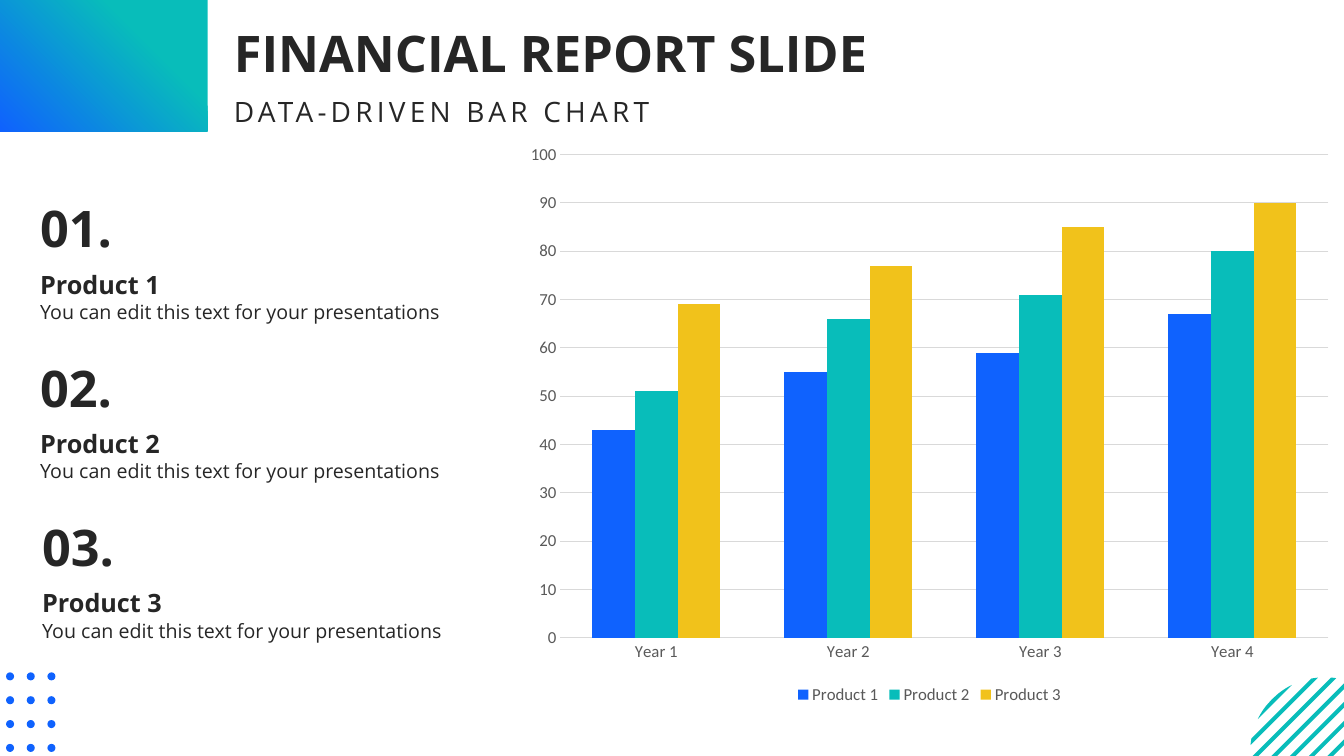
from math import sqrt

from pptx import Presentation
from pptx.chart.data import CategoryChartData
from pptx.dml.color import RGBColor
from pptx.enum import chart as charts, shapes, text
from pptx.util import Inches, Pt

COLORS = {"blue": "0F62FE", "teal": "08BDBA", "yellow": "F1C21B",
          "ink": "262626", "label": "595959", "grid": "D9D9D9"}
FONT = "Open Sans"
CHART_FONT = "Calibri"

TITLE = "FINANCIAL REPORT SLIDE"
SUBTITLE = "DATA-DRIVEN BAR CHART"
DESCRIPTION = "You can edit this text for your presentations"
PRODUCTS = [  # number, name, left edge
    ("01.", "Product 1", 0.3),
    ("02.", "Product 2", 0.3),
    ("03.", "Product 3", 0.32),
]
PRODUCT_TOP, PRODUCT_PITCH = 1.91, 1.58

YEARS = ["Year 1", "Year 2", "Year 3", "Year 4"]
SERIES = [
    ("Product 1", (43, 55, 59, 67), "blue"),
    ("Product 2", (51, 66, 71, 80), "teal"),
    ("Product 3", (69, 77, 85, 90), "yellow"),
]

DOT_COLUMNS, DOT_ROWS, DOT_SIZE = 3, 4, 0.08
DOTS_LEFT, DOTS_TOP, DOTS_WIDTH, DOTS_HEIGHT = 0.06, 6.67, 0.41, 0.71

DISC_X, DISC_Y, DISC_RADIUS = 13.14, 7.46, 0.74
STRIPE_COUNT, STRIPE_WIDTH = 10, 0.04
FIRST_STRIPE, LAST_STRIPE = -0.74, 0.44  # offsets from the disc centre
ARC_STEPS = 8


def rgb(name):
    return RGBColor.from_string(COLORS[name])


def fill_plain(shape, color):
    shape.shadow.inherit = False
    shape.fill.solid()
    shape.fill.fore_color.rgb = rgb(color)
    shape.line.fill.background()


def write(shape, words, size, bold=False, line_spacing=None, tracking=None):
    frame = shape.text_frame
    frame.word_wrap = True
    frame.auto_size = text.MSO_AUTO_SIZE.NONE
    frame.vertical_anchor = text.MSO_ANCHOR.TOP
    paragraph = frame.paragraphs[0]
    paragraph.alignment = text.PP_ALIGN.LEFT
    if line_spacing:
        paragraph.line_spacing = line_spacing
    run = paragraph.add_run()
    run.text = words
    run.font.name = FONT
    run.font.size = Pt(size)
    run.font.bold = bold
    run.font.color.rgb = rgb("ink")
    if tracking:
        run.font._element.set("spc", str(tracking * 100))


def add_text(slide, left, top, width, height, words, size, **style):
    box = slide.shapes.add_textbox(*map(Inches, (left, top, width, height)))
    write(box, words, size, **style)


def add_header(slide):
    corner = slide.shapes.add_shape(shapes.MSO_SHAPE.RECTANGLE, 0, Inches(-0.01),
                                    Inches(2.06), Inches(1.31))
    fill_plain(corner, "teal")
    corner.fill.gradient()
    corner.fill.gradient_angle = 225
    stops = zip(corner.fill.gradient_stops, (0.3, 1), ("teal", "blue"))
    for stop, position, color in stops:
        stop.position = position
        stop.color.rgb = rgb(color)

    title = slide.shapes.title
    title.left, title.top = Inches(2.22), Inches(0.17)
    title.width, title.height = Inches(9.74), Inches(0.71)
    write(title, TITLE, 36, bold=True)
    add_text(slide, 2.22, 0.89, 5.32, 0.44, SUBTITLE, 20, tracking=3)


def add_products(slide):
    for row, (number, name, left) in enumerate(PRODUCTS):
        top = PRODUCT_TOP + row * PRODUCT_PITCH
        add_text(slide, left, top, 1.01, 0.71, number, 36, bold=True)
        add_text(slide, left, top + 0.56, 4.56, 0.51, name, 18,
                 bold=True, line_spacing=1.5)
        add_text(slide, left, top + 0.9, 4.56, 0.42, DESCRIPTION, 14,
                 line_spacing=1.5)


def format_chart_font(font):
    font.name = CHART_FONT
    font.size = Pt(12)
    font.color.rgb = rgb("label")


def add_sales_chart(slide):
    data = CategoryChartData()
    data.categories = YEARS
    for name, values, _ in SERIES:
        data.add_series(name, values)
    chart = slide.shapes.add_chart(
        charts.XL_CHART_TYPE.COLUMN_CLUSTERED, Inches(5.1), Inches(1.32),
        Inches(8.24), Inches(5.71), data).chart
    chart.has_title = False
    format_chart_font(chart.font)

    plot = chart.plots[0]
    plot.gap_width, plot.overlap = 150, 0
    plot.vary_by_categories = False
    for series, (_, _, color) in zip(plot.series, SERIES):
        series.format.fill.solid()
        series.format.fill.fore_color.rgb = rgb(color)

    for axis in (chart.category_axis, chart.value_axis):
        axis.major_tick_mark = charts.XL_TICK_MARK.NONE
        axis.minor_tick_mark = charts.XL_TICK_MARK.NONE
        axis.format.line.fill.background()
        format_chart_font(axis.tick_labels.font)
    values_axis = chart.value_axis
    values_axis.minimum_scale, values_axis.maximum_scale = 0, 100
    values_axis.major_unit = 10
    gridline = values_axis.major_gridlines.format.line
    gridline.color.rgb = rgb("grid")
    gridline.width = Pt(0.75)

    chart.has_legend = True
    chart.legend.position = charts.XL_LEGEND_POSITION.BOTTOM
    chart.legend.include_in_layout = False
    format_chart_font(chart.legend.font)


def add_dots(slide):
    for column in range(DOT_COLUMNS):
        for row in range(DOT_ROWS):
            left = DOTS_LEFT + DOTS_WIDTH * column / (DOT_COLUMNS - 1)
            top = DOTS_TOP + DOTS_HEIGHT * row / (DOT_ROWS - 1)
            dot = slide.shapes.add_shape(
                shapes.MSO_SHAPE.OVAL, Inches(left), Inches(top),
                Inches(DOT_SIZE), Inches(DOT_SIZE))
            fill_plain(dot, "blue")


def chord_end(offset, side):
    """Point where the 45° chord at this offset meets the disc's edge."""
    half = side * sqrt(max(DISC_RADIUS ** 2 - offset ** 2, 0))
    return (Inches(DISC_X + (offset + half) / sqrt(2)),
            Inches(DISC_Y + (offset - half) / sqrt(2)))


def add_striped_disc(slide):
    pitch = (LAST_STRIPE - FIRST_STRIPE) / (STRIPE_COUNT - 1)
    for index in range(STRIPE_COUNT):
        start = FIRST_STRIPE + index * pitch
        offsets = [start + STRIPE_WIDTH * step / ARC_STEPS
                   for step in range(ARC_STEPS + 1)]
        outline = ([chord_end(offset, 1) for offset in offsets]
                   + [chord_end(offset, -1) for offset in reversed(offsets)])
        builder = slide.shapes.build_freeform(*outline[0])
        builder.add_line_segments(outline[1:], close=True)
        fill_plain(builder.convert_to_shape(), "teal")


def main():
    presentation = Presentation()
    presentation.slide_width = Inches(13.33)
    presentation.slide_height = Inches(7.5)
    slide = presentation.slides.add_slide(presentation.slide_layouts[5])
    add_header(slide)
    add_sales_chart(slide)
    add_products(slide)
    add_striped_disc(slide)
    add_dots(slide)
    presentation.save("out.pptx")


if __name__ == "__main__":
    main()
